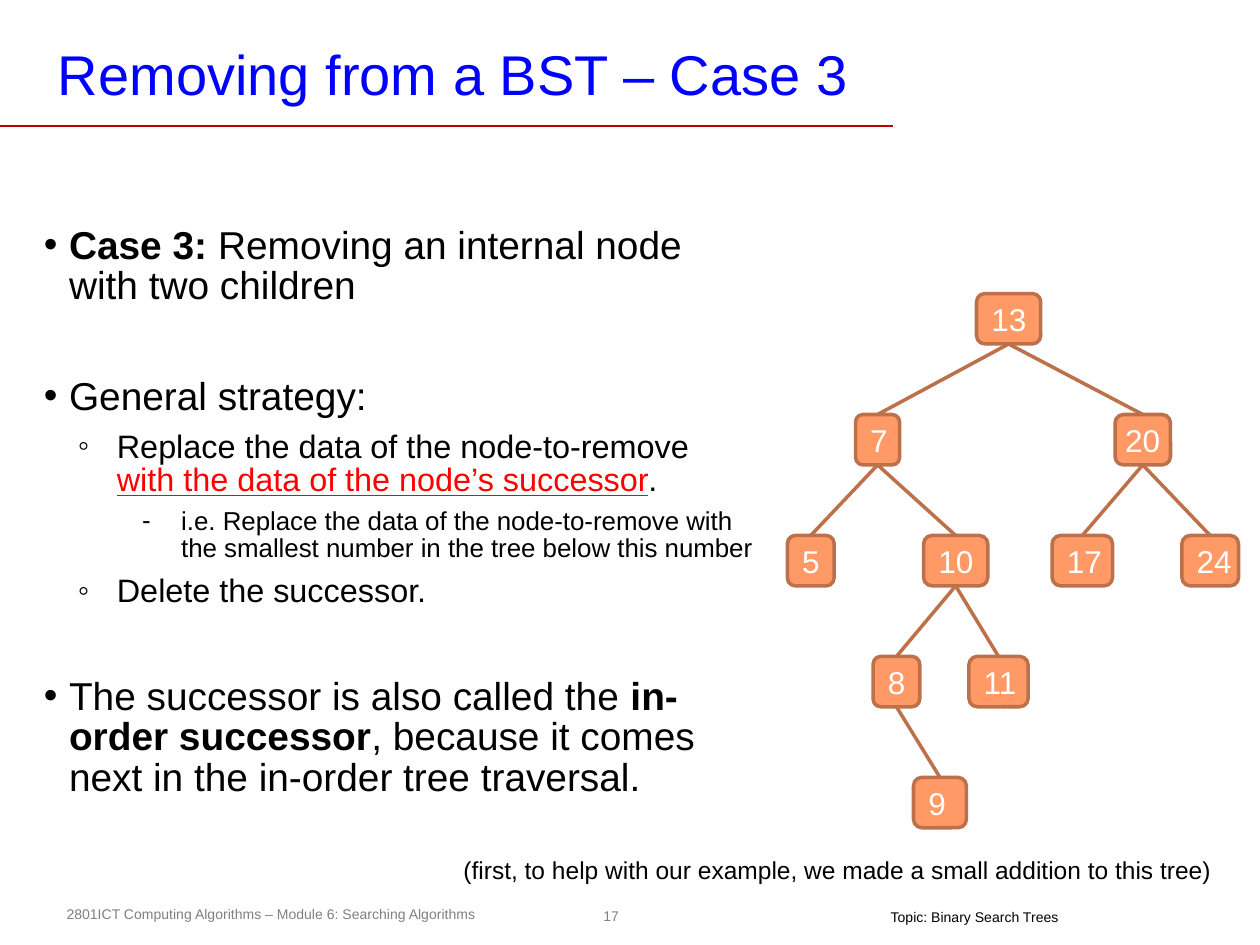
from lxml import etree
from pptx import Presentation
from pptx.dml.color import RGBColor
from pptx.enum.shapes import MSO_CONNECTOR, MSO_SHAPE
from pptx.enum.text import MSO_ANCHOR, MSO_AUTO_SIZE, PP_ALIGN
from pptx.oxml.ns import qn
from pptx.util import Inches, Pt

BLACK = RGBColor(0x00, 0x00, 0x00)
WHITE = RGBColor(0xFF, 0xFF, 0xFF)
GREY = RGBColor(0x80, 0x80, 0x80)
BLUE = RGBColor(0x00, 0x00, 0xFF)
RED = RGBColor(0xFF, 0x00, 0x00)
RULE = RGBColor(0xC0, 0x00, 0x00)
NODE = RGBColor(0xFF, 0x99, 0x66)
EDGE = RGBColor(0xBD, 0x71, 0x4B)

deck = Presentation()
deck.slide_width, deck.slide_height = Inches(10), Inches(7.5)
COL = deck.slide_width / 100
ROW = deck.slide_height / 75
slide = deck.slides.add_slide(deck.slide_layouts[5])
shapes = slide.shapes


def grid(x, y, w, h):
    return int(x * COL), int(y * ROW), int(w * COL), int(h * ROW)


def add_line(x1, y1, x2, y2, color, width):
    line = shapes.add_connector(
        MSO_CONNECTOR.STRAIGHT, int(x1 * COL), int(y1 * ROW), int(x2 * COL), int(y2 * ROW))
    line.line.color.rgb = color
    line.line.width = Pt(width)
    etree.SubElement(line._element.spPr, qn("a:effectLst"))
    return line


# Title and rule
title = shapes.title
title.left, title.top, title.width, title.height = grid(3.9, 2.8, 74.2, 6)
frame = title.text_frame
frame.text = "Removing from a BST – Case 3"
frame.auto_size = MSO_AUTO_SIZE.NONE
frame.vertical_anchor = MSO_ANCHOR.TOP
frame.margin_left = frame.margin_right = Inches(0.07)
frame.margin_top = frame.margin_bottom = Inches(0.03)
head = frame.paragraphs[0]
head.alignment = PP_ALIGN.LEFT
head.font.name, head.font.size, head.font.color.rgb = "Arial", Pt(32), BLUE
add_line(0, 10, 70.9, 10, RULE, 1)

# Body: level, space before, runs of (text, style)
BODY = [
    (0, 0, [("Case 3: ", "bold"), ("Removing an internal node with two children", "")]),
    (0, 40, [("General strategy:", "")]),
    (1, 7.2, [("Replace the data of the node-to-remove ", ""),
              ("with the data of the node’s successor", "mark"), (".", "")]),
    (2, 5.8, [("i.e. Replace the data of the node-to-remove with the smallest "
               "number in the tree below this number", "")]),
    (1, 7.2, [("Delete the successor.", "")]),
    (0, 39, [("The successor is also called the ", ""), ("in-order successor", "bold"),
             (", because it comes next in the in-order tree traversal.", "")]),
]
# Level: bullet, size, margin, indent
LEVELS = [("•", 22.2, 0.2, -0.2), ("◦", 18.5, 0.58, -0.31), ("-", 14.8, 1.09, -0.31)]

frame = shapes.add_textbox(*grid(2.5, 17.5, 58.3, 52.5)).text_frame
frame.word_wrap = True
for i, (level, gap, runs) in enumerate(BODY):
    para = frame.paragraphs[0] if i == 0 else frame.add_paragraph()
    mark, size, margin, indent = LEVELS[level]
    para.level = level
    para.line_spacing = 0.87
    para.space_before = Pt(gap)
    props = para._p.get_or_add_pPr()
    props.set("marL", str(Inches(margin)))
    props.set("indent", str(Inches(indent)))
    etree.SubElement(props, qn("a:buFont")).set("typeface", "Arial")
    etree.SubElement(props, qn("a:buChar")).set("char", mark)
    para.font.name, para.font.size, para.font.color.rgb = "Arial", Pt(size), BLACK
    for text, style in runs:
        run = para.add_run()
        run.text = text
        if style == "bold":
            run.font.bold = True
        elif style == "mark":
            run.font.underline = True
            run.font.color.rgb = RED

# Tree nodes: key, left, width, depth
NODES = [
    (13, 77.5, 5.1, 0), (7, 67.9, 3.5, 1), (20, 88.5, 4.4, 1), (17, 83.5, 4.8, 2),
    (24, 93.8, 4.5, 2), (5, 62.5, 3.7, 2), (10, 73.3, 5.1, 2), (8, 69.3, 3.7, 3),
    (11, 76.9, 4.7, 3), (9, 72.5, 4.2, 4),
]
tree = {}
for key, left, width, depth in NODES:
    node = shapes.add_shape(
        MSO_SHAPE.ROUNDED_RECTANGLE, *grid(left, 23.3 + 9.6 * depth, width, 4))
    node.shadow.inherit = False
    node.fill.solid()
    node.fill.fore_color.rgb = NODE
    node.line.color.rgb = EDGE
    node.line.width = Pt(2)
    frame = node.text_frame
    frame.word_wrap = False
    frame.vertical_anchor = MSO_ANCHOR.MIDDLE
    para = frame.paragraphs[0]
    para.text = str(key)
    para.alignment = PP_ALIGN.CENTER if key == 20 else PP_ALIGN.LEFT
    para.font.name, para.font.size, para.font.color.rgb = "Arial", Pt(18), WHITE
    tree[key] = node

# Tree edges: parent bottom to child top
for top, low in [(13, 7), (13, 20), (20, 24), (20, 17), (7, 10), (7, 5),
                 (10, 8), (10, 11), (8, 9)]:
    edge = add_line(0, 0, 0, 0, EDGE, 2)
    edge.begin_connect(tree[top], 2)
    edge.end_connect(tree[low], 0)

# Note and footer: text, place, size, colour, top margin
for text, place, size, color, pad in [
    ("(first, to help with our example, we made a small addition to this tree)",
     (35.8, 67.4, 61.8, 3.4), 14, BLACK, 0.05),
    ("2801ICT Computing Algorithms – Module 6: Searching Algorithms",
     (4.3, 71.4, 36.4, 2.4), 8, GREY, 0.05),
    ("17", (46.9, 71.5, 3.4, 2.4), 8, GREY, 0.05),
    ("Topic: Binary Search Trees", (69.7, 72.1, 15.5, 1.7), 8, BLACK, 0),
]:
    frame = shapes.add_textbox(*grid(*place)).text_frame
    frame.word_wrap = False
    frame.margin_top = Inches(pad)
    para = frame.paragraphs[0]
    para.text = text
    para.font.name, para.font.size, para.font.color.rgb = "Arial", Pt(size), color

deck.save("out.pptx")
